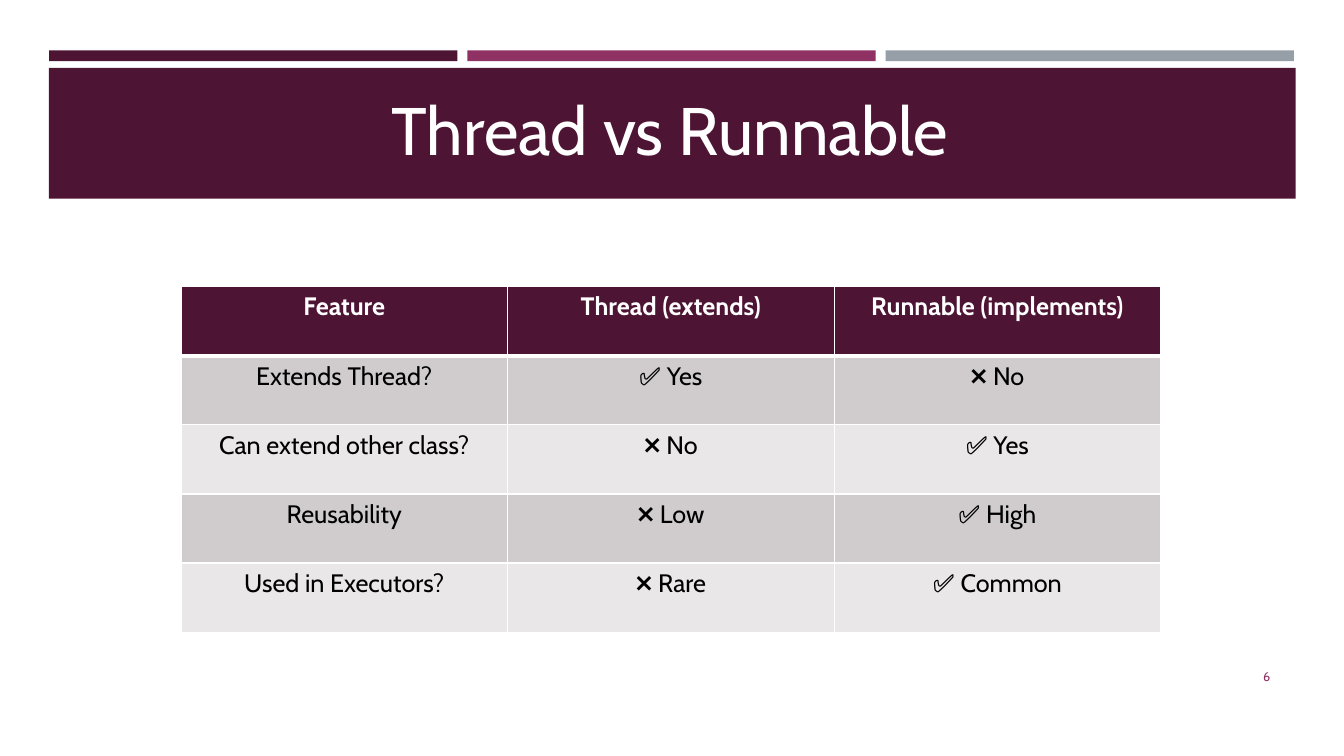
from dataclasses import dataclass

from lxml.etree import SubElement
from pptx import Presentation
from pptx.dml.color import RGBColor
from pptx.enum.shapes import MSO_SHAPE as Shape
from pptx.enum.text import MSO_ANCHOR as Anchor, MSO_AUTO_SIZE as AutoSize, PP_ALIGN as Align
from pptx.oxml.ns import qn
from pptx.util import Cm, Pt


@dataclass(frozen=True)
class Theme:
    font: str = "Cabin"
    plum: str = "4D1434"
    berry: str = "903163"
    steel: str = "969FA7"
    white: str = "FFFFFF"
    black: str = "000000"
    row_fills: tuple = ("D0CCCE", "E9E7E8")
    title_size: int = 48
    table_size: int = 18
    number_size: int = 9


class SlideBuilder:
    def __init__(self, s, theme):
        self.s = s
        self.theme = theme

    def format_text(self, tf, size, color, align, bold=False):
        for p in tf.paragraphs:
            p.alignment = align
            for r in p.runs:
                r.font.name = self.theme.font
                r.font.size = Pt(size)
                r.font.bold = bold
                r.font.color.rgb = RGBColor.from_string(color)

    def bar(self, left, top, width, height, color):
        sp = self.s.shapes.add_shape(Shape.RECTANGLE, Cm(left), Cm(top), Cm(width), Cm(height))
        sp.shadow.inherit = False
        sp.fill.solid()
        sp.fill.fore_color.rgb = RGBColor.from_string(color)
        sp.line.fill.background()

    def title(self, text, left, top, width, height):
        """Fill the title placeholder and bring it in front of the band."""
        sp = self.s.shapes.title
        sp.left, sp.top, sp.width, sp.height = Cm(left), Cm(top), Cm(width), Cm(height)
        tf = sp.text_frame
        tf.text = text
        tf.word_wrap = True
        tf.auto_size = AutoSize.NONE
        tf.vertical_anchor = Anchor.TOP
        self.format_text(tf, self.theme.title_size, self.theme.white, Align.CENTER)
        self.s.shapes.element.append(sp.element)

    def page_number(self, text, left, top, width, height):
        tf = self.s.shapes.add_textbox(Cm(left), Cm(top), Cm(width), Cm(height)).text_frame
        tf.text = text
        tf.word_wrap = True
        tf.vertical_anchor = Anchor.MIDDLE
        self.format_text(tf, self.theme.number_size, self.theme.berry, Align.RIGHT)

    def borders(self, cell, top, bottom):
        """Draw the cell's four borders; top and bottom widths are in points."""
        tc_pr = cell._tc.get_or_add_tcPr()
        for side, width in (("L", 1), ("R", 1), ("T", top), ("B", bottom)):
            ln = SubElement(tc_pr, qn(f"a:ln{side}"), w=str(Pt(width)))
            fill = SubElement(ln, qn("a:solidFill"))
            SubElement(fill, qn("a:srgbClr"), val=self.theme.white)

    def table(self, rows, left, top, width, height):
        t = self.theme
        table = self.s.shapes.add_table(
            len(rows), len(rows[0]), Cm(left), Cm(top), Cm(width), Cm(height)).table
        for i, row in enumerate(rows):
            header = i == 0
            fill = t.plum if header else t.row_fills[(i - 1) % 2]
            color = t.white if header else t.black
            for j, text in enumerate(row):
                cell = table.cell(i, j)
                cell.text = text
                self.borders(cell, top=3 if i == 1 else 1, bottom=3 if header else 1)
                cell.fill.solid()
                cell.fill.fore_color.rgb = RGBColor.from_string(fill)
                self.format_text(cell.text_frame, t.table_size, color, Align.CENTER, header)


COMPARISON = [
    ("Feature", "Thread (extends)", "Runnable (implements)"),
    ("Extends Thread?", "✅ Yes", "❌ No"),
    ("Can extend other class?", "❌ No", "✅ Yes"),
    ("Reusability", "❌ Low", "✅ High"),
    ("Used in Executors?", "❌ Rare", "✅ Common"),
]


def main():
    prs = Presentation()
    prs.slide_width, prs.slide_height = Cm(33.87), Cm(19.05)
    theme = Theme()
    title_only = prs.slide_layouts[5]
    slide = SlideBuilder(prs.slides.add_slide(title_only), theme)

    for i, color in enumerate((theme.plum, theme.berry, theme.steel)):
        slide.bar(1.24 + i * 10.54, 1.27, 10.29, 0.27, color)
    slide.bar(1.23, 1.71, 31.42, 3.3, theme.plum)
    slide.title("Thread vs Runnable", 1.3, 2.11, 31.17, 2.31)
    slide.page_number("6", 29.34, 16.54, 2.92, 1.02)
    slide.table(COMPARISON, 4.56, 7.22, 24.69, 8.71)
    prs.save("out.pptx")


if __name__ == "__main__":
    main()
